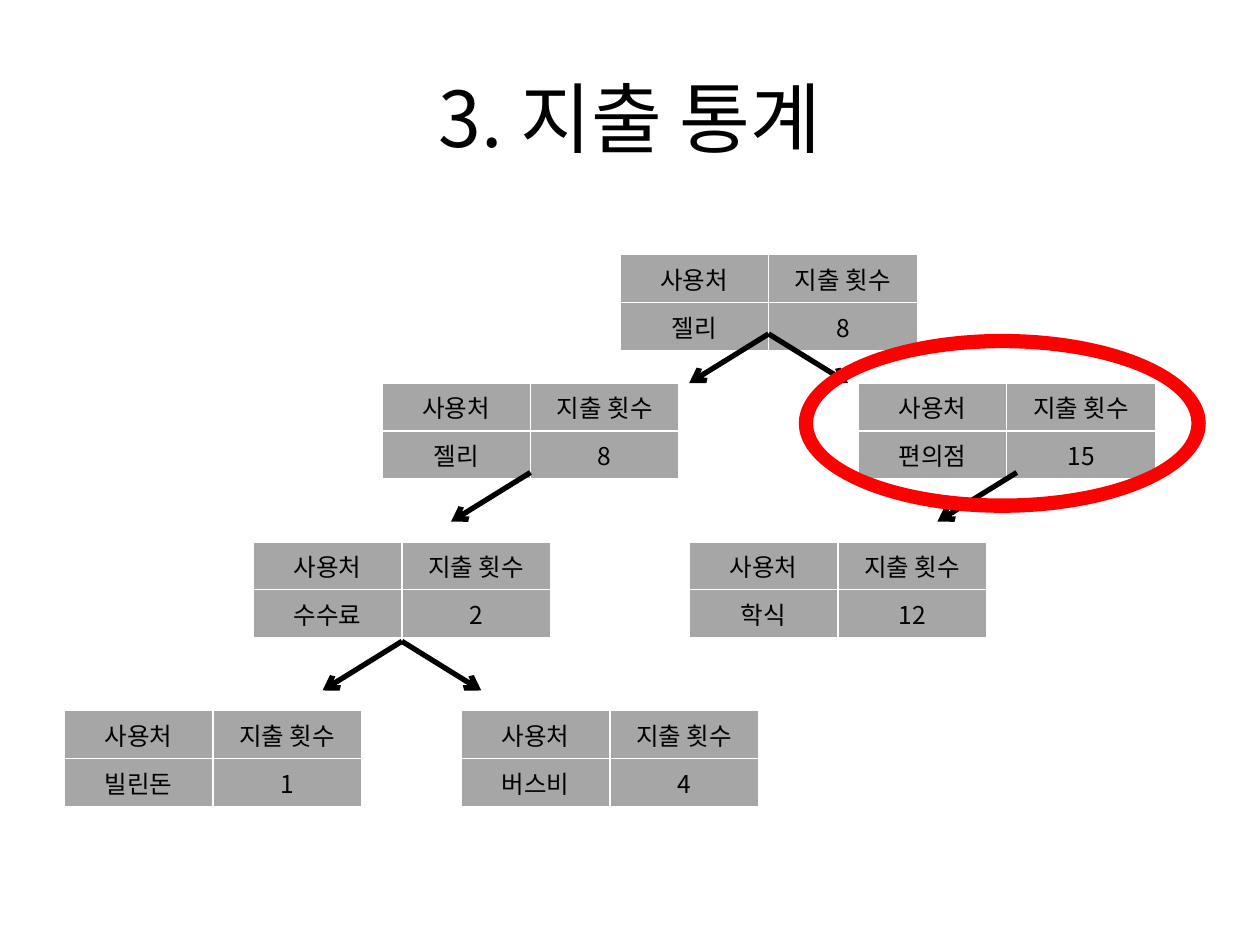
from lxml import etree
from pptx import Presentation
from pptx import util as u
from pptx.dml.color import RGBColor
from pptx.enum import shapes, text
from pptx.oxml.ns import qn

COLORS = {"ink": "000000", "cell": "A6A6A6", "border": "FFFFFF", "mark": "FF0000"}
HEADINGS = ("사용처", "지출 횟수")
NODES = [
    (4.92, 2.02, "젤리", 8),
    (3.03, 3.04, "젤리", 8),
    (6.81, 3.04, "편의점", 15),
    (5.47, 4.3, "학식", 12),
    (2.01, 4.3, "수수료", 2),
    (0.51, 5.64, "빌린돈", 1),
    (3.66, 5.64, "버스비", 4),
]
LEFT, RIGHT = -1, 1
BRANCHES = [
    (6.1, 2.65, (LEFT, RIGHT)),
    (4.21, 3.75, (LEFT,)),
    (8.07, 3.75, (LEFT,)),
    (3.19, 5.09, (LEFT, RIGHT)),
]


class TreeSlide:
    """Draws the parts of a spending tree in one style on the current slide."""

    font = "Noto Sans CJK KR"
    column_width, row_height = 1.18, 0.38
    branch_dx, branch_dy = 0.63, 0.39

    def __init__(self, slide):
        self.slide = slide

    def color(self, name):
        return RGBColor.from_string(COLORS[name])

    def label(self, frame, words, size):
        frame.text = words
        paragraph = frame.paragraphs[0]
        paragraph.alignment = text.PP_ALIGN.CENTER
        for run in paragraph.runs:
            run.font.size = u.Pt(size)
            run.font.name = self.font
            run.font.color.rgb = self.color("ink")
            east_asian = etree.SubElement(run._r.get_or_add_rPr(), qn("a:ea"))
            east_asian.set("typeface", self.font)

    def title(self, words, left, top, width, height):
        frame = self.slide.shapes.add_textbox(*map(u.Inches, (left, top, width, height))).text_frame
        frame.word_wrap = True
        frame.vertical_anchor = text.MSO_ANCHOR.MIDDLE
        self.label(frame, words, 44)

    def border(self, cell):
        properties = cell._tc.get_or_add_tcPr()
        for side in ("lnL", "lnR", "lnT", "lnB"):
            line = etree.SubElement(properties, qn(f"a:{side}"), w=str(u.Pt(1)))
            fill = etree.SubElement(line, qn("a:solidFill"))
            etree.SubElement(fill, qn("a:srgbClr"), val=COLORS["border"])

    def node(self, left, top, place, count):
        rows = (HEADINGS, (place, str(count)))
        size = (2 * self.column_width, 2 * self.row_height)
        table = self.slide.shapes.add_table(2, 2, *map(u.Inches, (left, top, *size))).table
        table.first_row = table.horz_banding = False
        for r, row in enumerate(rows):
            for c, words in enumerate(row):
                cell = table.cell(r, c)
                self.border(cell)
                cell.fill.solid()
                cell.fill.fore_color.rgb = self.color("cell")
                self.label(cell.text_frame, words, 14)

    def branch(self, x, y, direction):
        ends = (x, y, x + direction * self.branch_dx, y + self.branch_dy)
        arrow = self.slide.shapes.add_connector(
            shapes.MSO_CONNECTOR.STRAIGHT, *map(u.Inches, ends))
        arrow.line.color.rgb = self.color("ink")
        arrow.line.width = u.Pt(3)
        etree.SubElement(arrow.line._get_or_add_ln(), qn("a:tailEnd"), type="arrow")
        etree.SubElement(arrow._element.spPr, qn("a:effectLst"))

    def ring(self, left, top, width, height):
        ring = self.slide.shapes.add_shape(
            shapes.MSO_SHAPE.DONUT, *map(u.Inches, (left, top, width, height)))
        ring.adjustments[0] = 0.08
        ring.shadow.inherit = False
        ring.fill.solid()
        ring.fill.fore_color.rgb = self.color("mark")
        ring.line.fill.background()


def main():
    deck = Presentation()
    deck.slide_width, deck.slide_height = u.Inches(10), u.Inches(7.5)
    tree = TreeSlide(deck.slides.add_slide(deck.slide_layouts[6]))
    tree.title("3. 지출 통계", 0.5, 0.3, 9, 1.25)
    for node in NODES:
        tree.node(*node)
    for x, y, directions in BRANCHES:
        for direction in directions:
            tree.branch(x, y, direction)
    tree.ring(6.34, 2.65, 3.23, 1.42)
    deck.save("out.pptx")


if __name__ == "__main__":
    main()
